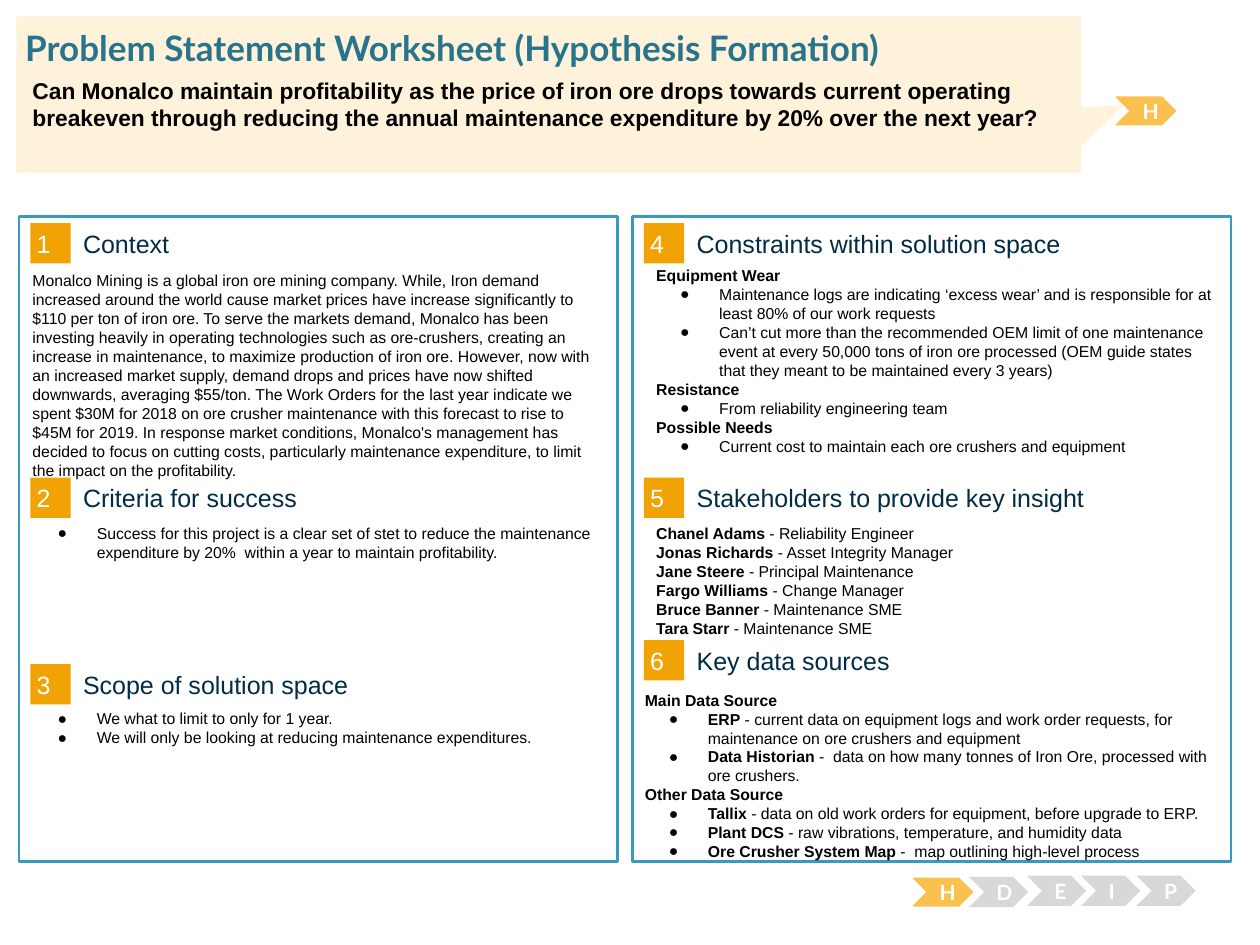
"""Build a one-slide problem statement worksheet on a grid of 100 columns by 75 rows."""
import pptx
import pptx.dml.color
import pptx.enum.shapes
import pptx.enum.text
import pptx.oxml.ns
import pptx.util
from lxml import etree

COLORS = {
    "white": "FFFFFF", "black": "000000", "border": "379BBD", "badge": "F1A205",
    "heading": "002C46", "title": "29748D", "callout": "FEF2DA",
    "active": "FBC14E", "idle": "D8D8D8",
}
SHAPE = pptx.enum.shapes.MSO_SHAPE
LEFT, CENTER = pptx.enum.text.PP_ALIGN.LEFT, pptx.enum.text.PP_ALIGN.CENTER
TOP, MIDDLE = pptx.enum.text.MSO_ANCHOR.TOP, pptx.enum.text.MSO_ANCHOR.MIDDLE

prs = pptx.Presentation()
prs.slide_width = pptx.util.Inches(10)
prs.slide_height = pptx.util.Inches(7.5)
CELL = prs.slide_width // 100
s = prs.slides.add_slide(prs.slide_layouts[6])


def add_box(kind, at, fill=None, line=None, width=0.75):
    place = [round(v * CELL) for v in at]
    if kind is None:
        return s.shapes.add_textbox(*place)
    sp = s.shapes.add_shape(kind, *place)
    sp.shadow.inherit = False
    sp.fill.solid()
    sp.fill.fore_color.rgb = pptx.dml.color.RGBColor.from_string(COLORS[fill])
    if line:
        sp.line.color.rgb = pptx.dml.color.RGBColor.from_string(COLORS[line])
        sp.line.width = pptx.util.Pt(width)
    else:
        sp.line.fill.background()
    return sp


def write(sp, paragraphs, size, color, font="Arial", inset=(1, 0.5), anchor=TOP, align=LEFT):
    tf = sp.text_frame
    tf.word_wrap = True
    tf.vertical_anchor = anchor
    tf.margin_left = tf.margin_right = round(inset[0] * CELL)
    tf.margin_top = tf.margin_bottom = round(inset[1] * CELL)
    for i, (bullet, bold, plain) in enumerate(paragraphs):
        p = tf.paragraphs[0] if i == 0 else tf.add_paragraph()
        p.alignment = align
        if bullet:
            pPr = p._p.get_or_add_pPr()
            pPr.set("marL", str(5 * CELL))
            pPr.set("indent", str(round(-3.1 * CELL)))
            for tag, name, value in (("a:buSzPts", "val", str(size * 100)),
                                     ("a:buFont", "typeface", font), ("a:buChar", "char", "●")):
                etree.SubElement(pPr, pptx.oxml.ns.qn(tag)).set(name, value)
        for text, is_bold in ((bold, True), (plain, False)):
            if text:
                r = p.add_run()
                r.text = text
                r.font.size = pptx.util.Pt(size)
                r.font.name = font
                r.font.bold = is_bold
                r.font.color.rgb = pptx.dml.color.RGBColor.from_string(COLORS[color])


columns = [1.5, 50.2]
for x in columns:
    add_box(SHAPE.RECTANGLE, (x, 17.2, 47.5, 51.2), "white", "border", 1.5)

sections = [
    (0, 17.7, "Context"),
    (0, 37.9, "Criteria for success"),
    (0, 52.7, "Scope of solution space"),
    (1, 17.7, "Constraints within solution space"),
    (1, 37.9, "Stakeholders to provide key insight"),
    (1, 50.8, "Key data sources"),
]
for number, (column, y, heading) in enumerate(sections, 1):
    x = columns[column]
    sp = add_box(SHAPE.RECTANGLE, (x + 0.9, y, 3.2, 3.2), "badge")
    write(sp, [(False, "", str(number))], 14.3, "white", inset=(0.5, 0.5), anchor=MIDDLE)
    sp = add_box(None, (x + 5.1, y + 0.35, 39.3, 2.5))
    write(sp, [(False, "", heading)], 14.3, "heading", inset=(0, 0), anchor=MIDDLE)

bodies = [
    ((1.6, 21, 47.3, 16.7), [
        (False, "", "Monalco Mining is a global iron ore mining company. While, Iron demand increased "
         "around the world cause market prices have increase significantly to $110 per ton of iron ore. "
         "To serve the markets demand, Monalco has been investing heavily in operating technologies such "
         "as ore-crushers, creating an increase in maintenance, to maximize production of iron ore. "
         "However, now with an increased market supply, demand drops and prices have now shifted "
         "downwards, averaging $55/ton. The Work Orders for the last year indicate we spent $30M for 2018 "
         "on ore crusher maintenance with this forecast to rise to $45M for 2019. In response market "
         "conditions, Monalco's management has decided to focus on cutting costs, particularly "
         "maintenance expenditure, to limit the impact on the profitability."),
    ]),
    ((1.7, 41.1, 46.6, 3.4), [
        (True, "", "Success for this project is a clear set of stet to reduce the maintenance "
         "expenditure by 20%  within a year to maintain profitability."),
    ]),
    ((1.7, 55.8, 46.6, 9.3), [
        (True, "", "We what to limit to only for 1 year."),
        (True, "", "We will only be looking at reducing maintenance expenditures."),
    ]),
    ((51.1, 20.6, 46.6, 14.8), [
        (False, "Equipment Wear", ""),
        (True, "", "Maintenance logs are indicating ‘excess wear’ and is responsible for at least 80% "
         "of our work requests"),
        (True, "", "Can’t cut more than the recommended OEM limit of one maintenance event at every "
         "50,000 tons of iron ore processed (OEM guide states that they meant to be maintained every "
         "3 years)"),
        (False, "Resistance", ""),
        (True, "", "From reliability engineering team"),
        (False, "Possible Needs", ""),
        (True, "", "Current cost to maintain each ore crushers and equipment"),
    ]),
    ((51.1, 41.1, 48.1, 11.8), [
        (False, "Chanel Adams ", "- Reliability Engineer"),
        (False, "Jonas Richards ", "- Asset Integrity Manager"),
        (False, "Jane Steere ", "- Principal Maintenance"),
        (False, "Fargo Williams ", "- Change Manager"),
        (False, "Bruce Banner ", "- Maintenance SME"),
        (False, "Tara Starr ", "- Maintenance SME"),
    ]),
    ((50.2, 54.3, 47.3, 11.8), [
        (False, "Main Data Source", ""),
        (True, "ERP", " - current data on equipment logs and work order requests, for maintenance on "
         "ore crushers and equipment"),
        (True, "Data Historian ", "-  data on how many tonnes of Iron Ore, processed with ore crushers."),
        (False, "Other Data Source", ""),
        (True, "Tallix", " - data on old work orders for equipment, before upgrade to ERP."),
        (True, "Plant DCS", " - raw vibrations, temperature, and humidity data"),
        (True, "Ore Crusher System Map", " -  map outlining high-level process"),
    ]),
]
for at, paragraphs in bodies:
    write(add_box(None, at), paragraphs, 9, "black")

steps = [
    ("H", 72.5, 69.7, True), ("D", 76.9, 69.6, False), ("E", 81.5, 69.5, False),
    ("I", 85.8, 69.5, False), ("P", 90.2, 69.5, False), ("H", 88.6, 7.7, True),
]
for letter, x, y, active in steps:
    if active:
        sp = add_box(SHAPE.CHEVRON, (x, y, 4.7, 2.2), "active", "active")
    else:
        sp = add_box(SHAPE.CHEVRON, (x, y, 4.7, 2.4), "idle")
    write(sp, [(False, letter, "")], 12, "white", "Lato", anchor=MIDDLE, align=CENTER)

sp = add_box(SHAPE.RECTANGULAR_CALLOUT, (1.3, 1.3, 84.5, 12.4), "callout")
sp.adjustments[0], sp.adjustments[1] = 0.54, 0.07
sp = add_box(None, (2, 2.1, 96.2, 3.4))
write(sp, [(False, "Problem Statement Worksheet (Hypothesis Formation)", "")], 20, "title", "Lato", (0, 0))
sp = add_box(None, (1.6, 5.6, 83.6, 5.4))
write(sp, [(False, "Can Monalco maintain profitability as the price of iron ore drops towards current "
            "operating breakeven through reducing the annual maintenance expenditure by 20% over the "
            "next year?", "")], 13, "black")

prs.save("out.pptx")
